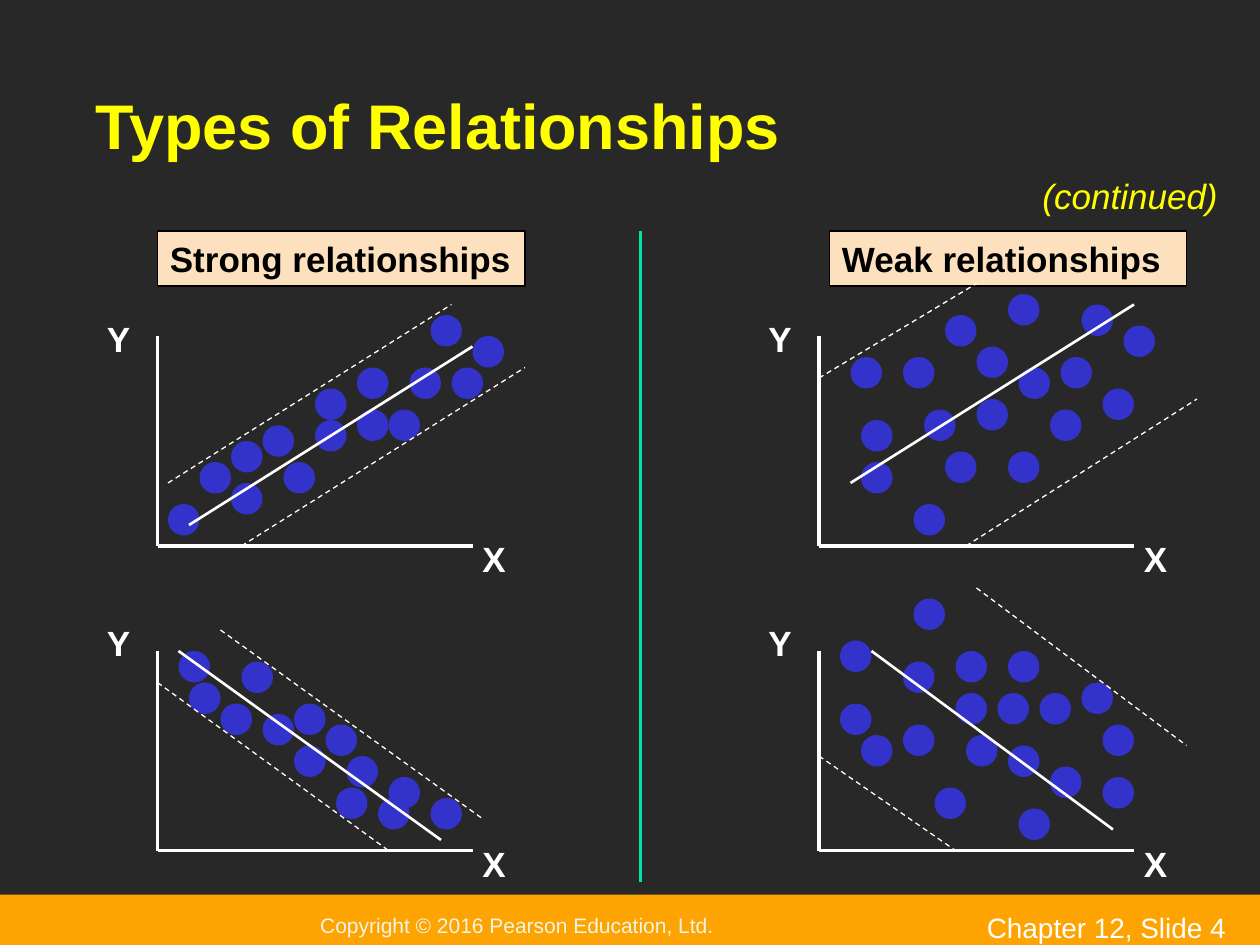
from lxml.etree import SubElement
from pptx import Presentation
from pptx.dml.color import RGBColor
from pptx.enum.dml import MSO_LINE_DASH_STYLE as Dash
from pptx.enum.shapes import MSO_CONNECTOR as Connector, MSO_SHAPE as Shape
from pptx.enum.text import MSO_ANCHOR as Anchor, PP_ALIGN as Align
from pptx.oxml.ns import qn
from pptx.util import Cm, Pt

COLORS = {
    "background": "282828", "band": "FEA402", "copyright": "F3F5E7",
    "white": "FFFFFF", "yellow": "FFFF00", "black": "000000",
    "dot": "3333CC", "heading": "FDE0BD", "divider": "00E4A8",
}
UNIT = 2.54 / 12  # all places are counted in twelfths of an inch
DOT_SIZE = 3
AXIS_WIDTH = 30

HEADINGS = [("Strong relationships", 15, 35), ("Weak relationships", 79, 34)]

# Each plot: axis corner, axis height, dot corners, dashed bounds, trend line
PLOTS = [
    {"corner": (15, 52), "height": 20,
     "dots": [(16, 48), (19, 44), (41, 30), (43, 35), (22, 46), (45, 32),
              (34, 39), (34, 35), (39, 35), (30, 37), (22, 42), (25, 40.5),
              (37, 39), (30, 40), (27, 44)],
     "bounds": [(16, 46, 43, 29), (23, 52, 50, 35)],
     "trend": (18, 50, 45, 33)},
    {"corner": (15, 81), "height": 19,
     "dots": [(36, 76), (18, 65), (41, 76), (23, 63), (33, 72), (37, 74),
              (28, 67), (17, 62), (21, 67), (25, 68), (32, 75), (31, 69),
              (28, 71)],
     "bounds": [(21, 60, 46, 78), (15, 65, 37, 81)],
     "trend": (17, 62, 42, 80)},
    {"corner": (78, 52), "height": 20,
     "dots": [(93, 33), (82, 44), (96, 43), (101, 34), (86, 34), (87, 48),
              (90, 43), (97, 35), (90, 30), (82, 40), (81, 34), (88, 39),
              (100, 39), (93, 38), (96, 28), (107, 31), (105, 37), (103, 29)],
     "bounds": [(78, 36, 93, 27), (92, 52, 114, 38)],
     "trend": (81, 46, 108, 29)},
    {"corner": (78, 81), "height": 19,
     "dots": [(80, 67), (80, 61), (86, 69), (97, 77), (82, 70), (91, 62),
              (96, 71), (95, 66), (91, 66), (86, 63), (99, 66), (92, 70),
              (89, 75), (100, 73), (105, 69), (103, 65), (105, 74), (96, 62),
              (87, 57)],
     "bounds": [(93, 56, 113, 71), (78, 72, 91, 81)],
     "trend": (83, 62, 106, 79)},
]


def units(*values):
    return [Cm(value * UNIT) for value in values]


def color(name):
    return RGBColor.from_string(COLORS[name])


def add_shape(slide, kind, box, fill, line=None):
    shape = slide.shapes.add_shape(kind, *units(*box))
    shape.shadow.inherit = False
    shape.fill.solid()
    shape.fill.fore_color.rgb = color(fill)
    if line:
        shape.line.color.rgb = color(line)
        shape.line.width = Pt(1)
    else:
        shape.line.fill.background()
    return shape


def add_line(slide, ends, width, line="white", dash=None):
    connector = slide.shapes.add_connector(Connector.STRAIGHT, *units(*ends))
    connector.line.color.rgb = color(line)
    connector.line.width = Pt(width)
    if dash:
        connector.line.dash_style = dash
    SubElement(connector.element.spPr, qn("a:effectLst"))


def write(shape, text, size=20, fill="white", bold=False, italic=False,
          anchor=Anchor.TOP, wrap=True, left=1.2):
    frame = shape.text_frame
    frame.word_wrap = wrap
    frame.vertical_anchor = anchor
    frame.margin_left, frame.margin_right = units(left, 1.2)
    frame.margin_top, frame.margin_bottom = units(0.6, 0.6)
    paragraph = frame.paragraphs[0]
    paragraph.text = text
    paragraph.alignment = Align.LEFT
    font = paragraph.font
    font.name, font.size = "Arial", Pt(size)
    font.bold, font.italic = bold, italic
    font.color.rgb = color(fill)


def add_text(slide, box, text, **style):
    write(slide.shapes.add_textbox(*units(*box)), text, **style)


def add_plot(slide, plot):
    left, base = plot["corner"]
    right, top = left + AXIS_WIDTH, base - plot["height"]

    # Axes and their names
    add_line(slide, (left, top, left, base), 2)
    add_line(slide, (left, base, right, base), 2)
    add_text(slide, (left - 6, base - 22.4, 4.5, 5.25), "Y", bold=True, wrap=False)
    add_text(slide, (right - 0.25, base - 1.4, 4.5, 5.25), "X", bold=True, wrap=False)

    # Dots, bounds and trend
    for x, y in plot["dots"]:
        add_shape(slide, Shape.OVAL, (x, y, DOT_SIZE, DOT_SIZE), "dot")
    for bound in plot["bounds"]:
        add_line(slide, bound, 0.75, dash=Dash.DASH)
    add_line(slide, plot["trend"], 1.5)


def main():
    presentation = Presentation()
    presentation.slide_width, presentation.slide_height = Cm(25.4), Cm(19.05)
    slide = presentation.slides.add_slide(presentation.slide_layouts[6])
    slide.background.fill.solid()
    slide.background.fill.fore_color.rgb = color("background")

    # Footer
    band = add_shape(slide, Shape.RECTANGLE, (0, 85.2, 120, 5.9), "band")
    write(band, "Copyright © 2016 Pearson Education, Ltd.", size=12,
          fill="copyright", anchor=Anchor.MIDDLE, left=30.5)
    add_text(slide, (92.8, 86.1, 28, 3.1), "Chapter 12, Slide 4", size=16)

    # Title
    add_text(slide, (8, 3, 104, 13), "Types of Relationships", size=36,
             fill="yellow", bold=True, anchor=Anchor.BOTTOM, left=1.1)
    add_text(slide, (98.1, 16, 20.5, 5.25), "(continued)", fill="yellow",
             italic=True)

    # Column headings and divider
    for text, left, width in HEADINGS:
        heading = add_shape(slide, Shape.RECTANGLE, (left, 22, width, 5.25),
                            "heading", line="black")
        write(heading, text, fill="black", bold=True)
    add_line(slide, (61, 22, 61, 84), 2.25, line="divider")

    for plot in PLOTS:
        add_plot(slide, plot)

    presentation.save("out.pptx")


if __name__ == "__main__":
    main()
